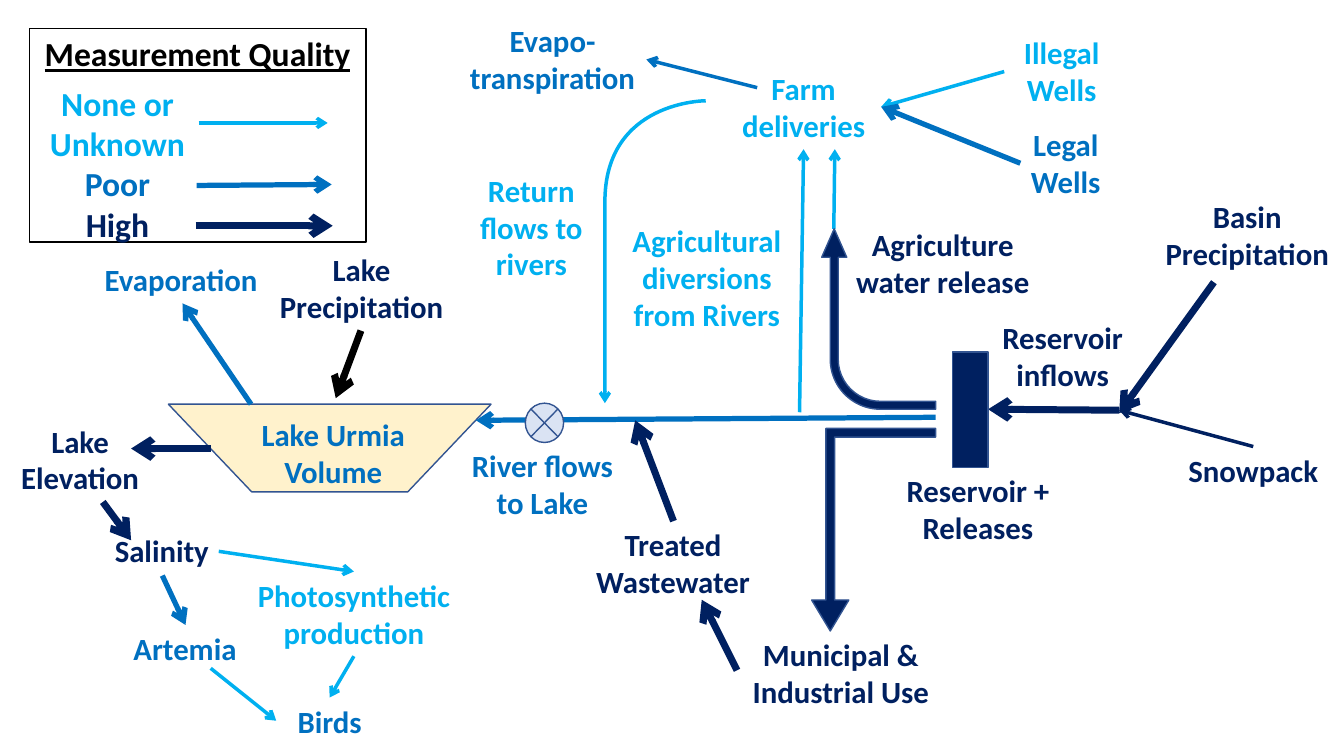
from lxml.etree import SubElement
from pptx import Presentation
from pptx.dml.color import RGBColor
from pptx.enum.shapes import MSO_CONNECTOR, MSO_SHAPE
from pptx.enum.text import MSO_ANCHOR, MSO_AUTO_SIZE, PP_ALIGN
from pptx.oxml.ns import qn
from pptx.util import Inches, Pt

UNKNOWN = RGBColor(0x00, 0xB0, 0xF0)
POOR = RGBColor(0x00, 0x70, 0xC0)
HIGH = RGBColor(0x00, 0x20, 0x60)
BLACK = RGBColor(0x00, 0x00, 0x00)
OUTLINE = RGBColor(0x32, 0x54, 0x91)
LAKE_FILL = RGBColor(0xFF, 0xF2, 0xCC)
JUNCTION_FILL = RGBColor(0xDA, 0xE3, 0xF3)

THIN, MEDIUM, THICK = 2.5, 3.75, 5

LABELS = [
    ("River flows to Lake", 4.5, 4.38, 1.76, 0.84, POOR),
    ("Lake Precipitation", 2.64, 2.44, 1.89, 0.84, HIGH),
    ("Evaporation", 0.94, 2.54, 1.74, 0.47, POOR),
    ("Reservoir + Releases", 8.83, 4.63, 1.74, 0.84, HIGH),
    ("Lake Elevation", 0.08, 4.14, 1.43, 0.84, HIGH),
    ("Agriculture water release", 8.28, 2.19, 2.14, 0.84, HIGH),
    ("Reservoir inflows", 9.81, 3.11, 1.46, 0.84, HIGH),
    ("Lake Urmia Volume", 2.37, 4.08, 1.87, 0.84, POOR),
    ("Basin Precipitation", 11.41, 1.91, 1.92, 0.84, HIGH),
    ("Illegal Wells", 9.96, 0.29, 1.14, 0.84, UNKNOWN),
    ("Salinity", 0.79, 5.23, 1.63, 0.47, HIGH),
    ("Artemia", 1.16, 6.2, 1.35, 0.47, POOR),
    ("Birds", 2.74, 6.92, 1.06, 0.47, POOR),
    ("Snowpack", 11.61, 4.43, 1.64, 0.47, HIGH),
    ("Evapo-transpiration", 4.55, 0.17, 1.86, 0.84, POOR),
    ("Farm deliveries", 7.21, 0.64, 1.52, 0.84, UNKNOWN),
    ("Agricultural diversions from Rivers", 6.15, 2.15, 1.72, 1.21, UNKNOWN),
    ("Municipal & Industrial Use", 7.31, 6.26, 2.06, 0.84, HIGH),
    ("Treated Wastewater", 5.72, 5.17, 1.91, 0.84, HIGH),
    ("Legal Wells", 10.12, 1.2, 0.9, 0.84, POOR),
    ("Return flows to rivers", 4.59, 1.65, 1.36, 1.21, UNKNOWN),
    ("Photosynthetic production", 2.43, 5.67, 2.16, 0.84, UNKNOWN),
]

FLOWS = [
    (9.28, 4.14, 4.72, 4.17, POOR, MEDIUM),
    (11.1, 4.07, 9.8, 4.06, HIGH, THICK),
    (3.58, 3.28, 3.33, 3.95, BLACK, THICK),
    (2.49, 4.01, 1.81, 3.01, POOR, MEDIUM),
    (2.09, 4.45, 1.3, 4.45, HIGH, THICK),
    (12.04, 2.8, 11.1, 4.1, HIGH, THICK),
    (1.61, 5.71, 1.84, 6.2, POOR, MEDIUM),
    (12.43, 4.43, 11.1, 4.07, HIGH, THIN),
    (7.93, 4.09, 7.97, 1.48, UNKNOWN, THIN),
    (7.51, 0.87, 6.41, 0.59, POOR, THIN),
    (9.96, 0.71, 8.74, 1.06, UNKNOWN, THIN),
    (10.12, 1.62, 8.74, 1.06, POOR, MEDIUM),
    (7.31, 6.65, 6.96, 5.95, HIGH, THICK),
    (6.68, 5.17, 6.3, 4.17, HIGH, THICK),
    (1.02, 4.98, 1.3, 5.36, HIGH, THICK),
    (2.09, 6.63, 2.74, 7.15, UNKNOWN, THIN),
    (3.51, 6.51, 3.27, 6.92, UNKNOWN, THIN),
    (2.17, 5.47, 3.51, 5.67, UNKNOWN, THIN),
    (8.27, 2.27, 8.28, 1.48, UNKNOWN, THIN),
]

LEGEND_FLOWS = [
    (1.97, 1.22, 3.25, 1.22, UNKNOWN, THIN),
    (1.95, 1.84, 3.29, 1.83, POOR, MEDIUM),
    (1.94, 2.24, 3.3, 2.24, HIGH, THICK),
]

RETURN_FLOW_START = (7.29, 1.02)
RETURN_FLOW_CURVE = [(6.81, 1.02), (6.34, 1.02), (6.11, 1.54),
                     (5.87, 2.05), (5.88, 3.07), (5.88, 4.1)]


def format_paragraph(paragraph, size, color, align=PP_ALIGN.CENTER):
    paragraph.alignment = align
    for run in paragraph.runs:
        run.font.name = "Calibri"
        run.font.size = Pt(size)
        run.font.bold = True
        run.font.color.rgb = color


def add_label(shapes, text, left, top, width, height, colors,
              size=22, align=PP_ALIGN.CENTER):
    label = shapes.add_textbox(Inches(left), Inches(top), Inches(width), Inches(height))
    text_frame = label.text_frame
    text_frame.word_wrap = True
    text_frame.auto_size = MSO_AUTO_SIZE.SHAPE_TO_FIT_TEXT
    text_frame.text = text
    for paragraph, color in zip(text_frame.paragraphs, colors):
        format_paragraph(paragraph, size, color, align)


def style_arrow(line, color, width):
    line.color.rgb = color
    line.width = Pt(width)
    SubElement(line._get_or_add_ln(), qn("a:tailEnd"), type="arrow")


def add_flow(shapes, x1, y1, x2, y2, color, width):
    connector = shapes.add_connector(
        MSO_CONNECTOR.STRAIGHT, Inches(x1), Inches(y1), Inches(x2), Inches(y2))
    style_arrow(connector.line, color, width)
    SubElement(connector._element.spPr, qn("a:effectLst"))


def add_block(shapes, kind, left, top, width, height, fill,
              line=OUTLINE, rotation=0, adjustments=()):
    shape = shapes.add_shape(
        kind, Inches(left), Inches(top), Inches(width), Inches(height))
    shape.shadow.inherit = False
    shape.rotation = rotation
    for index, value in enumerate(adjustments):
        shape.adjustments[index] = value
    if fill is None:
        shape.fill.background()
    else:
        shape.fill.solid()
        shape.fill.fore_color.rgb = fill
    shape.line.color.rgb = line
    shape.line.width = Pt(1)
    return shape


def add_return_flow(shapes):
    builder = shapes.build_freeform(*RETURN_FLOW_START, scale=Inches(1))
    builder.add_line_segments(RETURN_FLOW_CURVE, close=False)
    shape = builder.convert_to_shape()
    shape.shadow.inherit = False
    shape.fill.background()
    style_arrow(shape.line, UNKNOWN, THIN)
    outline = shape._element.find(".//" + qn("a:path"))
    segments = outline.findall(qn("a:lnTo"))
    for start in range(0, len(segments), 3):
        curve = SubElement(outline, qn("a:cubicBezTo"))
        for segment in segments[start:start + 3]:
            curve.append(segment[0])
            outline.remove(segment)


def add_legend(slide):
    shapes = slide.shapes.add_group_shape().shapes
    frame = add_block(shapes, MSO_SHAPE.RECTANGLE, 0.29, 0.28, 3.34, 2.12, None, BLACK)
    text_frame = frame.text_frame
    text_frame.word_wrap = True
    text_frame.vertical_anchor = MSO_ANCHOR.TOP
    text_frame.text = "Measurement Quality"
    heading = text_frame.paragraphs[0]
    format_paragraph(heading, 24, BLACK)
    heading.runs[0].font.underline = True
    add_label(shapes, "None or Unknown\nPoor\nHigh", 0.17, 0.77, 1.99, 1.77,
              [UNKNOWN, POOR, HIGH], size=24)
    for flow in LEGEND_FLOWS:
        add_flow(shapes, *flow)


def main():
    presentation = Presentation()
    presentation.slide_width = Inches(13.33)
    presentation.slide_height = Inches(7.5)
    slide = presentation.slides.add_slide(presentation.slide_layouts[6])
    shapes = slide.shapes

    add_block(shapes, MSO_SHAPE.TRAPEZOID, 1.67, 4.01, 3.2, 0.87, LAKE_FILL,
              rotation=180, adjustments=[0.95])
    for flow in FLOWS:
        add_flow(shapes, *flow)
    add_return_flow(shapes)
    add_block(shapes, MSO_SHAPE.FLOWCHART_SUMMING_JUNCTION,
              5.21, 4, 0.38, 0.39, JUNCTION_FILL)
    add_block(shapes, MSO_SHAPE.RECTANGLE, 9.45, 3.49, 0.35, 1.15, HIGH)
    add_block(shapes, MSO_SHAPE.BENT_ARROW, 7.82, 2.6, 1.79, 1.13, HIGH,
              rotation=270, adjustments=[0.07, 0.11, 0.25, 0.44])
    add_block(shapes, MSO_SHAPE.BENT_UP_ARROW, 8.05, 4.25, 1.23, 2.01, HIGH,
              rotation=180, adjustments=[0.07, 0.15, 0.25])
    for text, left, top, width, height, color in LABELS:
        align = PP_ALIGN.LEFT if text == "Evaporation" else PP_ALIGN.CENTER
        add_label(shapes, text, left, top, width, height, [color], align=align)
    add_legend(slide)

    presentation.save("out.pptx")


if __name__ == "__main__":
    main()
